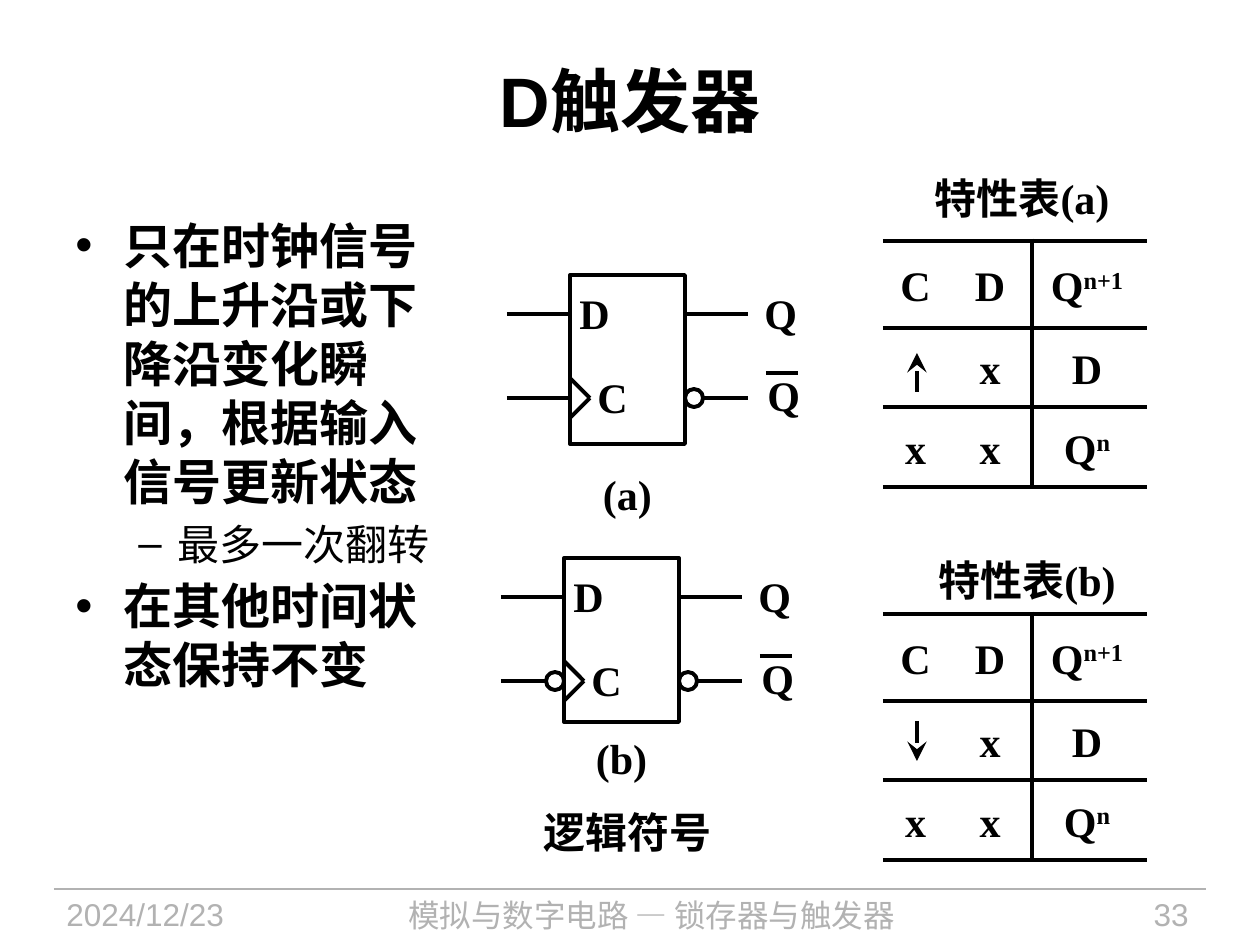
from dataclasses import dataclass

from lxml import etree
from pptx import Presentation
from pptx import util as u
from pptx.dml.color import RGBColor
from pptx.enum import shapes, text
from pptx.oxml.ns import qn

PX_PER_INCH = 126
BLACK = RGBColor(0x00, 0x00, 0x00)
WHITE = RGBColor(0xFF, 0xFF, 0xFF)
GRAY = RGBColor(0xB2, 0xB2, 0xB2)
SANS, SERIF, CJK = "Arial", "Times New Roman", "Noto Sans CJK SC"
LEFT, CENTER, RIGHT = text.PP_ALIGN.LEFT, text.PP_ALIGN.CENTER, text.PP_ALIGN.RIGHT


@dataclass(frozen=True)
class Style:
    size: int
    font: str = SERIF
    bold: bool = True
    color: RGBColor = BLACK
    align: text.PP_ALIGN = LEFT
    leading: float | None = None


@dataclass(frozen=True)
class Symbol:
    left: int
    top: int
    height: int
    caption: str
    caption_top: int
    falling_edge: bool


@dataclass(frozen=True)
class TruthTable:
    top: int
    title: str
    title_left: int
    title_top: int
    arrow_start: int
    arrow_tip: int


@dataclass(frozen=True)
class Bullet:
    words: str
    mark: str
    margin: int
    hang: int
    style: Style


LABEL = Style(24)
CAPTION = Style(24, align=CENTER)
HEADING = Style(24, align=CENTER, leading=29)
FOOTER = Style(18, SANS, False, GRAY)
MAIN_POINT = Style(28, SANS, leading=33.8)
SUB_POINT = Style(24, SANS, False, leading=29)

SYMBOLS = [
    Symbol(570, 275, 169, "(a)", 462, False),
    Symbol(564, 558, 164, "(b)", 726, True),
]
TABLES = [
    TruthTable(241, "特性表(a)", 913, 166, 392, 353),
    TruthTable(614, "特性表(b)", 918, 548, 721, 761),
]
# Each cell is its text and its superscript; the blank cell holds the clock arrow.
ROWS = [
    [("C", ""), ("D", ""), ("Q", "n+1")],
    [("", ""), ("x", ""), ("D", "")],
    [("x", ""), ("x", ""), ("Q", "n")],
]
COLUMN_WIDTHS = [70, 79, 115]
ROW_HEIGHTS = [87, 79, 80]
BULLETS = [
    Bullet("只在时钟信号的上升沿或下降沿变化瞬间，根据输入信号更新状态", "•", 48, 48, MAIN_POINT),
    Bullet("最多一次翻转", "–", 102, 39, SUB_POINT),
    Bullet("在其他时间状态保持不变", "•", 48, 48, MAIN_POINT),
]


def px(n: int) -> int:
    return round(n * u.Inches(1) / PX_PER_INCH)


def style_paragraph(p, style: Style) -> None:
    p.alignment = style.align
    if style.leading:
        p.line_spacing = u.Pt(style.leading)
    p.font.size, p.font.bold, p.font.name = u.Pt(style.size), style.bold, style.font
    p.font.color.rgb = style.color
    defaults = p._p.pPr.find(qn("a:defRPr"))
    etree.SubElement(defaults, qn("a:ea"), typeface=CJK)


def add_text(slide, words: str, left: int, top: int, width: int, height: int,
             style: Style, wrap: bool = True):
    tf = slide.shapes.add_textbox(px(left), px(top), px(width), px(height)).text_frame
    tf.word_wrap = wrap
    p = tf.paragraphs[0]
    p.text = words
    style_paragraph(p, style)
    return tf


def add_line(slide, x1: int, y1: int, x2: int, y2: int, width: float = 2.25,
             color: RGBColor = BLACK, arrow: bool = False) -> None:
    line = slide.shapes.add_connector(
        shapes.MSO_CONNECTOR.STRAIGHT, px(x1), px(y1), px(x2), px(y2))
    line.line.width = u.Pt(width)
    line.line.color.rgb = color
    sp_pr = line._element.spPr
    if arrow:
        etree.SubElement(sp_pr.find(qn("a:ln")), qn("a:tailEnd"),
                         type="stealth", w="lg", len="lg")
    etree.SubElement(sp_pr, qn("a:effectLst"))


def add_outline(slide, kind: shapes.MSO_SHAPE, left: int, top: int,
                width: int, height: int) -> None:
    sp = slide.shapes.add_shape(kind, px(left), px(top), px(width), px(height))
    sp.shadow.inherit = False
    sp.fill.solid()
    sp.fill.fore_color.rgb = WHITE
    sp.line.color.rgb = BLACK
    sp.line.width = u.Pt(2.25)


def draw_symbol(slide, s: Symbol) -> None:
    x, y = s.left, s.top
    width, data_y, clock_y, lead, bubble = 115, y + 39, y + 123, 63, 18
    add_outline(slide, shapes.MSO_SHAPE.RECTANGLE, x, y, width, s.height)
    for pin_y in (data_y, clock_y):
        add_line(slide, x - lead, pin_y, x, pin_y)
        add_line(slide, x + width, pin_y, x + width + lead, pin_y)
    for words, dx, dy in (("D", -3, 6), ("C", 15, 90), ("Q", 182, 6), ("Q", 185, 88)):
        add_text(slide, words, x + dx, y + dy, 57, 63, LABEL, wrap=False)
    add_line(slide, x + 196, y + 98, x + 228, y + 98)
    for edge in (-20, 20):
        add_line(slide, x, clock_y + edge, x + 20, clock_y)
    bubble_lefts = [x + width] + ([x - bubble] if s.falling_edge else [])
    for left in bubble_lefts:
        add_outline(slide, shapes.MSO_SHAPE.OVAL, left, clock_y - bubble // 2, bubble, bubble)
    add_text(slide, s.caption, x, s.caption_top, width, 63, CAPTION)


def set_borders(cell, sides: list[str]) -> None:
    """Rule the given sides of the cell and leave the others open."""
    tc_pr = cell._tc.get_or_add_tcPr()
    for i, side in enumerate("LRTB"):
        ln = etree.Element(qn(f"a:ln{side}"), w=str(u.Pt(3)))
        if side in sides:
            fill = etree.SubElement(ln, qn("a:solidFill"))
            etree.SubElement(fill, qn("a:srgbClr"), val=str(BLACK))
        else:
            etree.SubElement(ln, qn("a:noFill"))
        tc_pr.insert(i, ln)


def draw_table(slide, t: TruthTable) -> None:
    left = 883
    add_text(slide, t.title, t.title_left, t.title_top, 218, 63, HEADING)
    table = slide.shapes.add_table(
        len(ROWS), len(COLUMN_WIDTHS), px(left), px(t.top),
        px(sum(COLUMN_WIDTHS)), px(sum(ROW_HEIGHTS))).table
    table.first_row = table.horz_banding = False
    for column, width in zip(table.columns, COLUMN_WIDTHS):
        column.width = px(width)
    for row, height, entries in zip(table.rows, ROW_HEIGHTS, ROWS):
        row.height = px(height)
        for c, (cell, (words, power)) in enumerate(zip(row.cells, entries)):
            cell.fill.background()
            cell.margin_left = cell.margin_bottom = 0
            cell.margin_right = px(5)
            cell.margin_top = px(6)
            cell.vertical_anchor = text.MSO_ANCHOR.MIDDLE
            p = cell.text_frame.paragraphs[0]
            p.text = words
            if power:
                r = p.add_run()
                r.text = power
                r._r.get_or_add_rPr().set("baseline", "30000")
            style_paragraph(p, CAPTION)
            set_borders(cell, [["T", "B"], ["R", "T", "B"], ["L", "T", "B"]][c])
    add_line(slide, 917, t.arrow_start, 917, t.arrow_tip, arrow=True)


def draw_bullets(slide) -> None:
    tf = slide.shapes.add_textbox(px(63), px(209), px(398), px(679)).text_frame
    tf.word_wrap = True
    for i, b in enumerate(BULLETS):
        p = tf.add_paragraph() if i else tf.paragraphs[0]
        p.text = b.words
        p_pr = p._p.get_or_add_pPr()
        p_pr.set("marL", str(px(b.margin)))
        p_pr.set("indent", str(-px(b.hang)))
        p_pr.set("hangingPunct", "0")
        etree.SubElement(p_pr, qn("a:buFont"), typeface=SANS)
        etree.SubElement(p_pr, qn("a:buChar"), char=b.mark)
        if i:
            p.space_before = u.Pt(4)
        style_paragraph(p, b.style)


def draw_footer(slide) -> None:
    add_line(slide, 54, 889, 1206, 889, 0.75, GRAY)
    add_text(slide, "2024/12/23", 54, 889, 237, 55, FOOTER)
    add_text(slide, "模拟与数字电路 — 锁存器与触发器", 314, 889, 675, 55,
             Style(18, CJK, False, GRAY, CENTER, 22))
    add_text(slide, "33", 1033, 889, 168, 55, Style(18, SANS, False, GRAY, RIGHT))


def main() -> None:
    prs = Presentation()
    prs.slide_width, prs.slide_height = px(1260), px(945)
    slide = prs.slides.add_slide(prs.slide_layouts[6])
    draw_footer(slide)
    title = add_text(slide, "D触发器", 63, 21, 1134, 158, Style(40, SANS, align=CENTER))
    title.vertical_anchor = text.MSO_ANCHOR.MIDDLE
    draw_bullets(slide)
    for symbol in SYMBOLS:
        draw_symbol(slide, symbol)
    add_text(slide, "逻辑符号", 511, 800, 233, 63, Style(24, SANS, align=CENTER, leading=29))
    for table in TABLES:
        draw_table(slide, table)
    prs.save("out.pptx")


if __name__ == "__main__":
    main()
